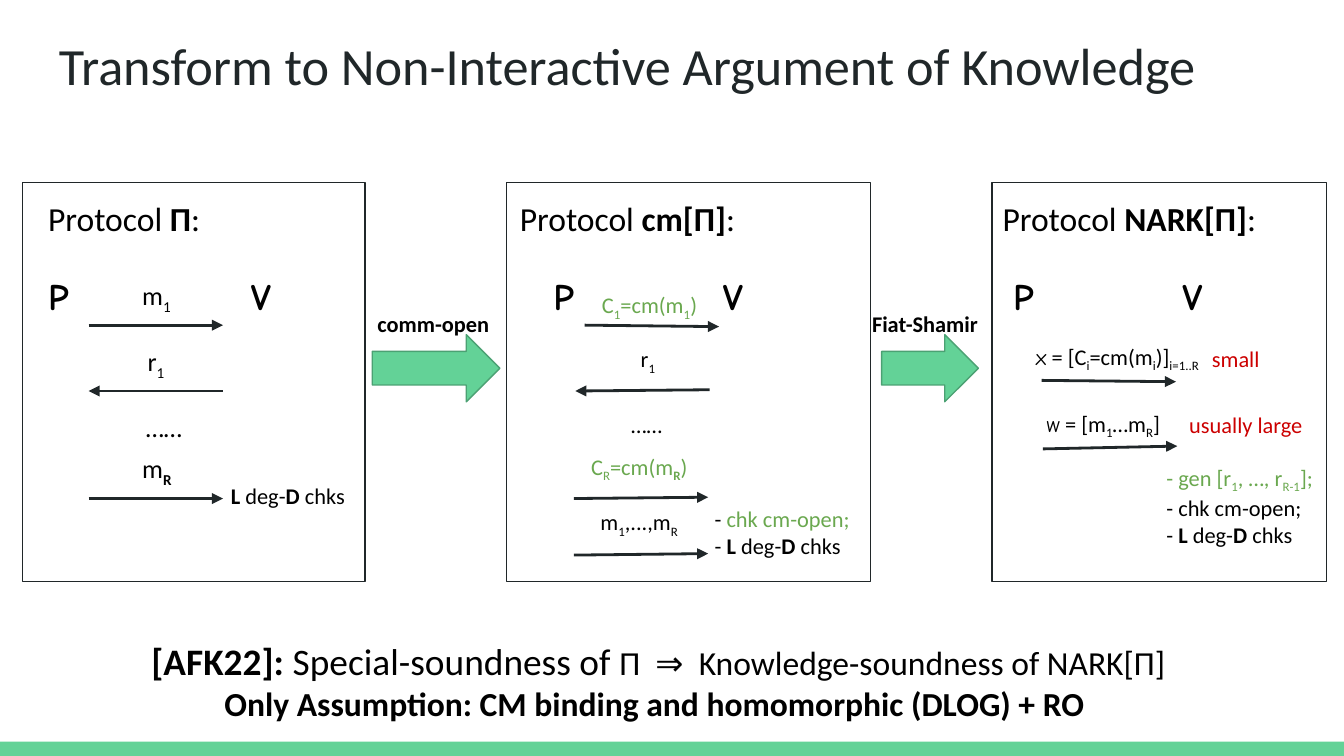
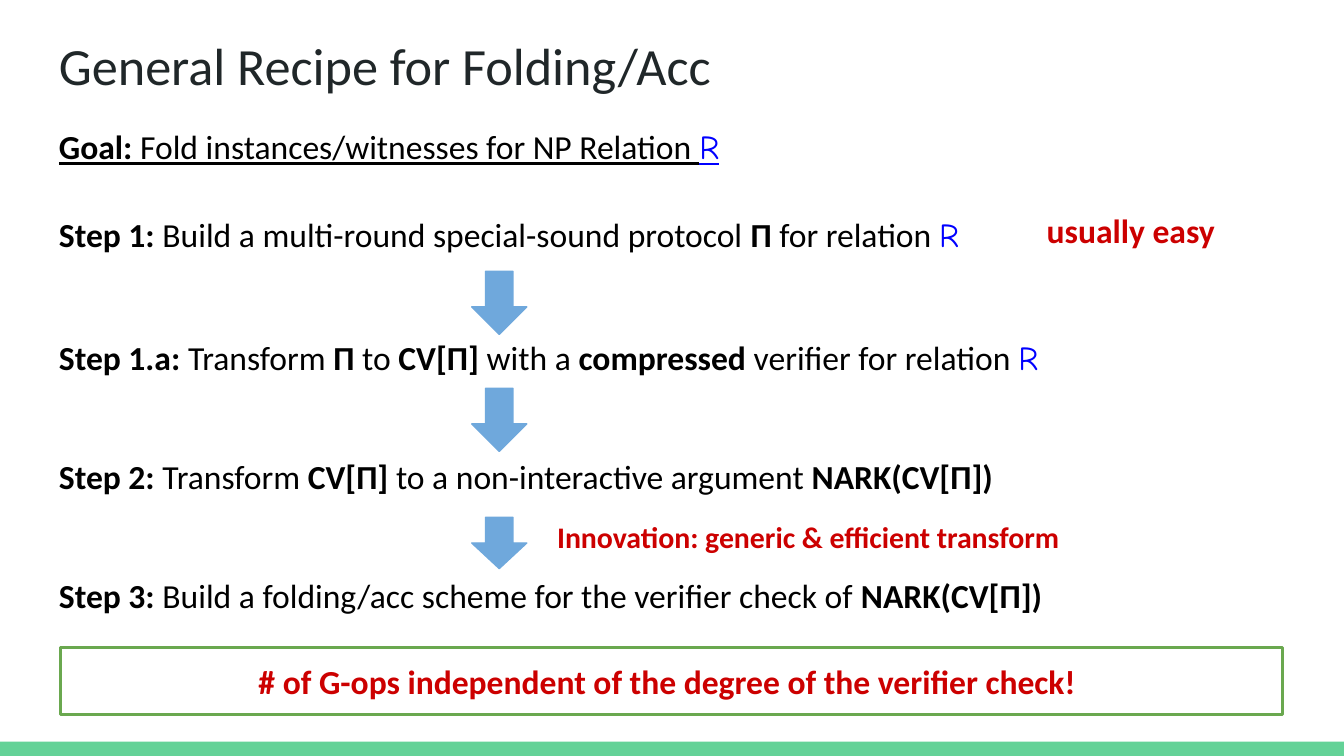
from lxml.etree import SubElement
from pptx import Presentation
from pptx.dml.color import RGBColor
from pptx.enum.shapes import MSO_CONNECTOR as Connector, MSO_SHAPE as Shape
from pptx.enum.text import MSO_ANCHOR as Anchor, PP_ALIGN as Align
from pptx.oxml.ns import qn
from pptx.util import Pt

WIDTH, HEIGHT = 720, 405
INSET = 7.2
BODY_FONT, SYMBOL_FONT = "Calibri", "Comic Neue"

BLACK = RGBColor(0x00, 0x00, 0x00)
INK = RGBColor(0x20, 0x27, 0x29)
MINT = RGBColor(0x63, 0xD2, 0x97)
MINT_EDGE = RGBColor(0x4B, 0xA1, 0x73)
GREEN = RGBColor(0x6A, 0xA8, 0x4F)
RED = RGBColor(0xCC, 0x00, 0x00)
BLUE = RGBColor(0x00, 0x00, 0xFF)
SKY = RGBColor(0x6F, 0xA8, 0xDC)

# A run is plain text or (text, marks). Marks: b bold, s subscript, u underline,
# m symbol font, and one colour letter.
MARK_COLORS = {"i": INK, "g": GREEN, "r": RED, "l": BLUE}

DEGREE_CHECKS = [("L", "b"), " deg-", ("D ", "b"), "chks"]
RELATION = ("R", "ml")

# Each message: label runs, label (left, top, width), size, arrow or None.
# Each arrow: left, y at left end, y at right end, pointing end.
# Each note: left, top, width, paragraphs.
PANEL_TOP, PANEL_HEIGHT = 97.9, 213.8
PANELS = [
    {
        "left": 12, "width": 183.6, "name": " Π", "name_left": 18.7,
        "prover": 18.7, "verifier": 127.4,
        "messages": [
            (["m", ("1", "s")], (69.1, 142.6, 39), 14, (47.5, 174.2, 174.2, "right")),
            (["r", ("1", "s")], (72, 177.8, 39), 14, (47.5, 209.5, 209.5, "left")),
            (["……"], (61.9, 213.1, 52), 14, None),
            (["m", ("R", "bs")], (69.1, 235.4, 39), 14, (47.5, 267.1, 267.1, "right")),
        ],
        "notes": [(116.6, 251.3, 114.5, [DEGREE_CHECKS])],
    },
    {
        "left": 271.4, "width": 195.1, "name": " cm[Π]", "name_left": 271.4,
        "prover": 289.4, "verifier": 380.2,
        "messages": [
            ([("C", "g"), ("1", "gs"), ("=cm(m", "g"), ("1", "gs"), (")", "g")],
             (315.4, 149, 81.4), 12, (313.2, 174.2, 175, "right")),
            (["r", ("1", "s")], (336.2, 177.8, 39), 12, (308.2, 209.5, 208.8, "left")),
            (["……"], (320.4, 213.1, 52), 12, None),
            ([("C", "g"), ("R", "gs"), ("=cm(m", "g"), ("R", "gbs"), (")", "g")],
             (309.6, 235.4, 138.2), 12, (307.4, 267.1, 266.4, "right")),
            (["m", ("1", "s"), ",...,m", ("R", "s")],
             (314.6, 265, 61.2), 12, (307.4, 297.4, 296.6, "right")),
        ],
        "notes": [(375.8, 263.5, 115.2,
                   [["- ", ("chk cm-open;", "g")],
                    ["-", (" L", "b"), *DEGREE_CHECKS[1:]]])],
    },
    {
        "left": 531.4, "width": 179.3, "name": " NARK[Π]", "name_left": 530,
        "prover": 535.7, "verifier": 626.4,
        "messages": [
            ([("x", "m"), " = [C", ("i", "s"), "=cm(m", ("i", "s"), ")]", ("i=1..R", "s")],
             (547.9, 176.4, 107.3), 12, (558, 203.8, 204.5, "right")),
            ([("w", "m"), " = [m", ("1", "s"), "…m", ("R", "s"), "]"],
             (553.7, 212.4, 88.6), 12, (558.7, 240.5, 239, "right")),
        ],
        "notes": [
            (642.2, 177.8, 48.2, [[("small", "r")]]),
            (630, 213.1, 86.4, [[("usually large", "r")]]),
            (617.8, 241.2, 102,
             [[("- gen [r", "g"), ("1", "gs"), (", …, r", "g"), ("R-1", "gs"), ("];", "g")],
              ["- chk cm-open;"],
              ["- ", *DEGREE_CHECKS]]),
        ],
    },
]

# Label, label left, arrow left, arrow width
TRANSFORMS = [("comm-open", 195.1, 199.4, 68.4), ("Fiat-Shamir", 460.1, 472.3, 51.8)]

THEOREM = [("[AFK22]: ", "b"), "Special-soundness of "]
THEOREM_END = "Π  ⇒  Knowledge-soundness of NARK[Π]"
ASSUMPTION = "Only Assumption: CM binding and homomorphic (DLOG) + RO "

RECIPE = [  # top, runs
    (60.5, [("Goal: ", "bu"), ("Fold instances/witnesses for NP Relation ", "u"), ("R", "mlu")]),
    (107.3, [("Step 1: ", "b"), "Build a multi-round special-sound protocol ", ("Π ", "b"),
             "for relation ", RELATION]),
    (173.5, [("Step 1.a: ", "b"), "Transform ", ("Π ", "b"), "to ", ("CV[Π]", "b"),
             " with a ", ("compressed", "b"), " verifier for relation ", RELATION]),
    (236.9, [("Step 2: ", "b"), "Transform ", ("CV[Π] ", "b"),
             "to a non-interactive argument ", ("NARK(CV[Π])", "b")]),
    (301, [("Step 3: ", "b"), "Build a folding/acc scheme for the verifier check of ",
           ("NARK(CV[Π])", "b")]),
]
STEP_ARROWS = [(145.4, 33.8), (208.1, 33.8), (277.2, 27.4)]  # top, height
CONCLUSION = "# of G-ops independent of the degree of the verifier check! "


def add_run(paragraph, text, marks, size):
    run = paragraph.add_run()
    run.text = text
    font = run.font
    font.size = Pt(size)
    font.name = SYMBOL_FONT if "m" in marks else BODY_FONT
    font.bold = "b" in marks
    if "u" in marks:
        font.underline = True
    font.color.rgb = next((MARK_COLORS[m] for m in marks if m in MARK_COLORS), BLACK)
    if "s" in marks:
        run._r.get_or_add_rPr().set("baseline", "-25000")


def fill_text(shape, paragraphs, size, align=Align.LEFT):
    """Write paragraphs of runs; a third item in a run overrides the size."""
    frame = shape.text_frame
    frame.word_wrap = True
    frame.vertical_anchor = Anchor.TOP
    frame.margin_left = frame.margin_right = Pt(INSET)
    frame.margin_top = frame.margin_bottom = Pt(INSET)
    for index, runs in enumerate(paragraphs):
        paragraph = frame.add_paragraph() if index else frame.paragraphs[0]
        paragraph.alignment = align
        for run in runs:
            text, marks, *own_size = (run, "") if isinstance(run, str) else run
            add_run(paragraph, text, marks, own_size[0] if own_size else size)


def add_text(slide, left, top, width, paragraphs, size, align=Align.LEFT):
    height = 1.22 * size * len(paragraphs) + 2 * INSET
    box = slide.shapes.add_textbox(Pt(left), Pt(top), Pt(width), Pt(height))
    fill_text(box, paragraphs, size, align)


def add_shape(slide, kind, left, top, width, height, fill=None, line=None, weight=0.75):
    shape = slide.shapes.add_shape(kind, Pt(left), Pt(top), Pt(width), Pt(height))
    shape.shadow.inherit = False
    if fill is None:
        shape.fill.background()
    else:
        shape.fill.solid()
        shape.fill.fore_color.rgb = fill
    if line is None:
        shape.line.fill.background()
    else:
        shape.line.color.rgb = line
        shape.line.width = Pt(weight)
    return shape


def add_message_arrow(slide, left, start_y, end_y, pointing):
    arrow = slide.shapes.add_connector(
        Connector.STRAIGHT, Pt(left), Pt(start_y), Pt(left + 72), Pt(end_y))
    arrow.line.color.rgb = INK
    arrow.line.width = Pt(1.5)
    end = "a:tailEnd" if pointing == "right" else "a:headEnd"
    SubElement(arrow.line._get_or_add_ln(), qn(end), type="triangle", w="med", len="med")
    SubElement(arrow._element.spPr, qn("a:effectLst"))


def add_titled_slide(presentation, title):
    slide = presentation.slides.add_slide(presentation.slide_layouts[6])
    add_shape(slide, Shape.RECTANGLE, 0, 397.4, WIDTH, HEIGHT - 397.4, fill=MINT)
    add_text(slide, 24.5, 10.8, 671, [[(title, "i")]], 28)
    return slide


def add_panel(slide, panel):
    add_shape(slide, Shape.RECTANGLE, panel["left"], PANEL_TOP, panel["width"],
              PANEL_HEIGHT, line=INK)
    heading = ["Protocol", (panel["name"], "b"), ":"]
    add_text(slide, panel["name_left"], 98.6, 170, [heading], 18)
    for letter, left in (("P", panel["prover"]), ("V", panel["verifier"])):
        add_text(slide, left, 139, 39, [[(letter, "mb")]], 20)
    for runs, (left, top, width), size, arrow in panel["messages"]:
        align = Align.LEFT if arrow else Align.CENTER
        add_text(slide, left, top, width, [runs], size, align)
        if arrow:
            add_message_arrow(slide, *arrow)
    for left, top, width, paragraphs in panel["notes"]:
        add_text(slide, left, top, width, paragraphs, 12)


def build_transform_slide(presentation):
    slide = add_titled_slide(presentation, "Transform to Non-Interactive Argument of Knowledge")
    for panel in PANELS:
        add_panel(slide, panel)
    for label, label_left, left, width in TRANSFORMS:
        add_shape(slide, Shape.RIGHT_ARROW, left, 179.3, width, 36, MINT, MINT_EDGE)
        add_text(slide, label_left, 159.1, 86.4, [[(label, "b")]], 12)
    summary = [THEOREM + [(THEOREM_END, "", 18)], [(ASSUMPTION, "b", 18)]]
    add_text(slide, 35.3, 334.8, 635, summary, 20, Align.CENTER)


def build_recipe_slide(presentation):
    slide = add_titled_slide(presentation, "General Recipe for Folding/Acc")
    for top, runs in RECIPE:
        add_text(slide, 24.5, top, 600, [runs], 18)
    for top, height in STEP_ARROWS:
        add_shape(slide, Shape.DOWN_ARROW, 252.7, top, 29.5, height, SKY, SKY)
    add_text(slide, 553.7, 105.1, 116, [[("usually easy", "br")]], 18)
    add_text(slide, 267.1, 270.7, 332,
             [[("Innovation: generic & efficient transform", "br")]], 16, Align.CENTER)
    conclusion = add_shape(slide, Shape.RECTANGLE, 32.4, 347, 654.5, 36,
                           line=GREEN, weight=1.5)
    fill_text(conclusion, [[(CONCLUSION, "br")]], 18, Align.CENTER)


def main():
    presentation = Presentation()
    presentation.slide_width, presentation.slide_height = Pt(WIDTH), Pt(HEIGHT)
    build_transform_slide(presentation)
    build_recipe_slide(presentation)
    presentation.save("out.pptx")


if __name__ == "__main__":
    main()
